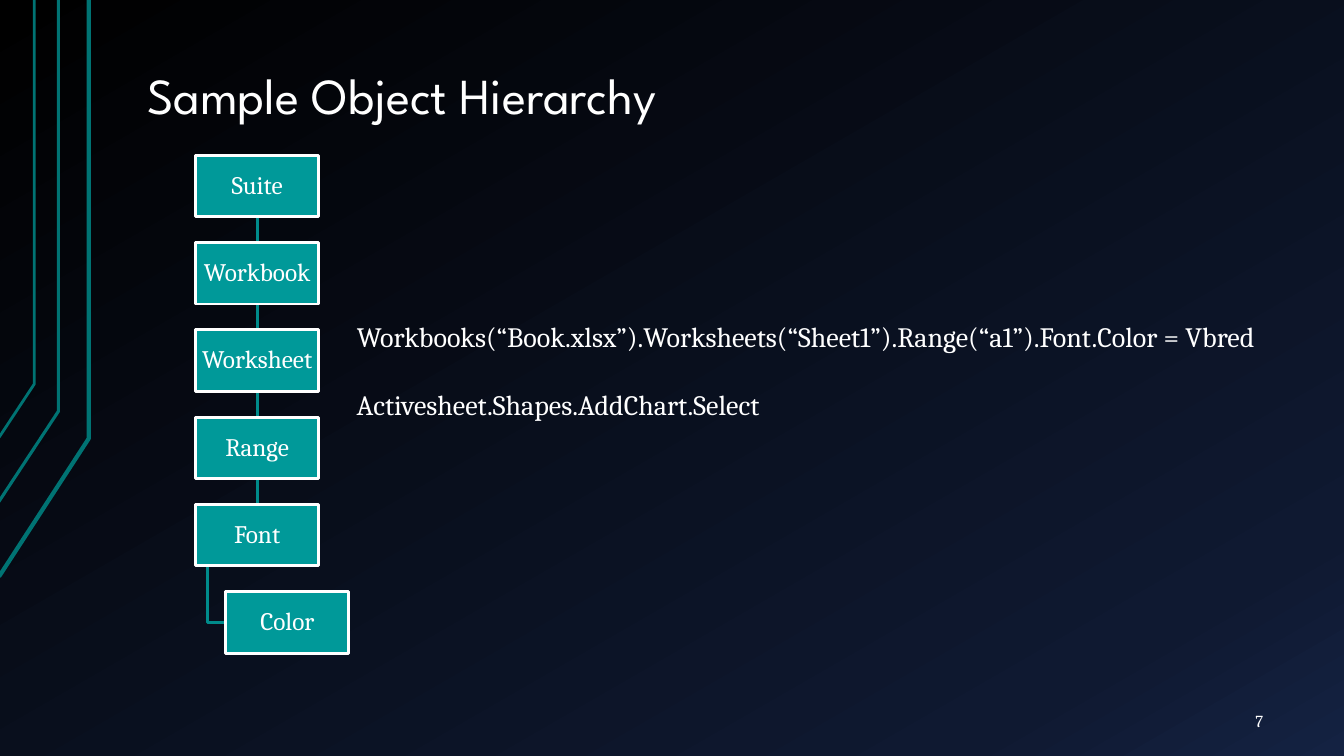
from copy import deepcopy

from pptx import Presentation
from pptx.dml.color import RGBColor
from pptx.enum.shapes import MSO_CONNECTOR as CONNECTOR, MSO_SHAPE as SHAPE
from pptx.enum.text import MSO_ANCHOR as ANCHOR, MSO_AUTO_SIZE as AUTO_SIZE, PP_ALIGN as ALIGN
from pptx.oxml.ns import qn
from pptx.util import Inches, Pt
from lxml import etree

WHITE, TEAL, DARK_TEAL, LINK_TEAL = "FFFFFF", "009999", "007373", "008B8B"


def color(hex_string):
    return RGBColor.from_string(hex_string)


def write(shape, text, size, inset, font="Cambria", align=ALIGN.LEFT, spacing=1.0, wrap=True):
    """Fill a shape with one formatted, vertically centred paragraph."""
    frame = shape.text_frame
    frame.text = text
    margins = dict(zip(("left", "top", "right", "bottom"), inset * 2))
    for side, length in margins.items():
        setattr(frame, f"margin_{side}", Inches(length))
    frame.auto_size = AUTO_SIZE.NONE if wrap else AUTO_SIZE.SHAPE_TO_FIT_TEXT
    frame.word_wrap = wrap
    frame.vertical_anchor = ANCHOR.MIDDLE
    paragraph = frame.paragraphs[0]
    paragraph.alignment = align
    paragraph.line_spacing = spacing
    for name, value in {"name": font, "size": Pt(size)}.items():
        setattr(paragraph.font, name, value)
    paragraph.font.color.rgb = color(WHITE)


presentation = Presentation()
presentation.slide_width, presentation.slide_height = Inches(13.33), Inches(7.5)
slide = presentation.slides.add_slide(presentation.slide_layouts[5])
shapes = slide.shapes

# Background gradient
background = slide.background.fill
background.gradient()
background.gradient_angle = 300
stop_list = slide.element.find(".//" + qn("a:gsLst"))
stop_list.append(deepcopy(stop_list[-1]))
gradient = [(0, "000000"), (0.85, "0F1931"), (1, "142242")]
for stop, (position, hex_string) in zip(background.gradient_stops, gradient):
    stop.position = position
    stop.color.rgb = color(hex_string)

# Bent lines: three at the left edge, one from Font to Color
bent_lines = [
    ([(-0.01, 5.72), (0.88, 4.35), (0.88, 0)], DARK_TEAL, 3),
    ([(-0.02, 4.99), (0.58, 4.08), (0.58, 0)], DARK_TEAL, 2.25),
    ([(-0.01, 4.34), (0.34, 3.81), (0.34, 0)], DARK_TEAL, 2),
    ([(2.06, 5.61), (2.06, 6.18), (2.24, 6.18)], LINK_TEAL, 2),
]
for points, hex_string, width in bent_lines:
    start, *rest = [(Inches(x), Inches(y)) for x, y in points]
    builder = shapes.build_freeform(*start)
    builder.add_line_segments(rest, close=False)
    line = builder.convert_to_shape()
    line.shadow.inherit = False
    line.fill.background()
    line.line.color.rgb = color(hex_string)
    line.line.width = Pt(width)

# Title
title = shapes.title
title.left, title.top, title.width, title.height = map(Inches, (1.33, 0.3, 11.33, 1.34))
write(title, "Sample Object Hierarchy", 36, (0.13, 0.07), font="League Spartan", spacing=0.9)

# Object hierarchy
box_left, box_top, box_width, box_height = 1.94, 1.54, 1.22, 0.61
row_pitch, indent = 0.866, 0.3
levels = ["Suite", "Workbook", "Worksheet", "Range", "Font", "Color"]
boxes = []
for row, level in enumerate(levels):
    left = box_left + (indent if level == "Color" else 0)
    top = box_top + row * row_pitch
    box = shapes.add_shape(SHAPE.RECTANGLE, *map(Inches, (left, top, box_width, box_height)))
    box.shadow.inherit = False
    box.fill.solid()
    box.fill.fore_color.rgb = color(TEAL)
    box.line.color.rgb = color(WHITE)
    box.line.width = Pt(2)
    write(box, level, 18, (0.01, 0.01), align=ALIGN.CENTER, spacing=0.9)
    boxes.append(box)

for upper, lower in zip(boxes[:-2], boxes[1:-1]):
    link = shapes.add_connector(CONNECTOR.STRAIGHT, 0, 0, 0, 0)
    link.begin_connect(upper, 2)
    link.end_connect(lower, 0)
    link.line.color.rgb = color(LINK_TEAL)
    link.line.width = Pt(2)
    etree.SubElement(link.element.spPr, qn("a:effectLst"))
    boxes[0].element.addprevious(link.element)

# Code samples
samples = [
    ("Workbooks(“Book.xlsx”).Worksheets(“Sheet1”).Range(“a1”).Font.Color = Vbred", 3.12, 9.68),
    ("Activesheet.Shapes.AddChart.Select", 3.79, 4.57),
]
for code, top, width in samples:
    sample = shapes.add_textbox(*map(Inches, (3.44, top, width, 0.44)))
    write(sample, code, 20, (0.1, 0.05), wrap=False)

# Slide number
number = shapes.add_textbox(*map(Inches, (11.55, 6.95, 1.11, 0.4)))
write(number, "7", 12, (0.13, 0.07), align=ALIGN.RIGHT)

presentation.save("out.pptx")
